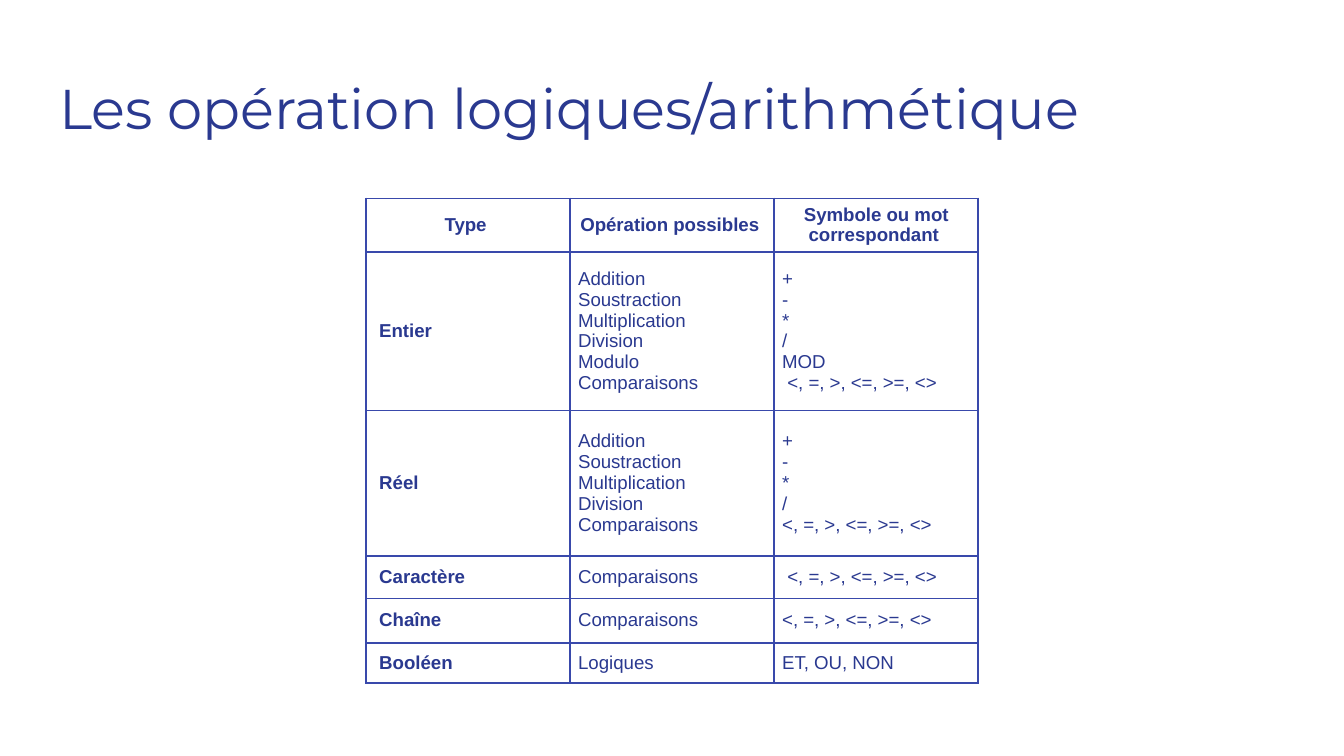
from lxml.etree import SubElement
from pptx import Presentation
from pptx.dml.color import RGBColor
from pptx.enum.text import MSO_ANCHOR, PP_ALIGN
from pptx.oxml.ns import qn
from pptx.util import Cm, Pt

NAVY = RGBColor(0x2A, 0x39, 0x90)
INDIGO = RGBColor(0x39, 0x49, 0xAB)
WHITE = RGBColor(0xFF, 0xFF, 0xFF)

HEADS = ["Type ", "Opération possibles ", "Symbole ou mot correspondant "]
MATHS = ["Addition", "Soustraction", "Multiplication", "Division"]
SIGNS = ["+", "-", "*", "/"]
ORDER = "<, =, >, <=, >=, <>"
ROWS = [
    (0.94, [[head] for head in HEADS]),
    (3, [[" Entier"], MATHS + ["Modulo ", "Comparaisons"], SIGNS + ["MOD ", " " + ORDER]]),
    (2.75, [[" Réel"], MATHS + ["Comparaisons"], SIGNS + [ORDER]]),
    (0.8, [[" Caractère"], ["Comparaisons"], [" " + ORDER]]),
    (0.84, [[" Chaîne"], ["Comparaisons"], [ORDER + " "]]),
    (0.76, [[" Booléen"], ["Logiques"], ["ET, OU, NON"]]),
]


def set_font(para, name, size, bold=False):
    font = para.font
    font.name, font.size, font.bold = name, Pt(size), bold
    font.color.rgb = NAVY


def add_title(slide, box, text):
    frame = slide.shapes.add_textbox(*box).text_frame
    frame.word_wrap = True
    frame.margin_left = frame.margin_right = Cm(0.25)
    frame.margin_top = frame.margin_bottom = Cm(0.25)
    frame.text = text
    set_font(frame.paragraphs[0], "Montserrat", 30)


def add_edges(cell):
    props = cell._tc.get_or_add_tcPr()
    for side in ("lnL", "lnR", "lnT", "lnB"):
        line = SubElement(props, qn("a:" + side), w=str(Pt(1)))
        fill = SubElement(line, qn("a:solidFill"))
        SubElement(fill, qn("a:srgbClr"), val=str(INDIGO))


def fill_cell(cell, lines, head, bold):
    add_edges(cell)
    cell.fill.background()
    cell.vertical_anchor = MSO_ANCHOR.MIDDLE
    cell.margin_left = cell.margin_right = Cm(0.15)
    cell.margin_top = cell.margin_bottom = Cm(0.08)
    cell.text = "\v".join(lines)
    para = cell.text_frame.paragraphs[0]
    para.alignment = PP_ALIGN.CENTER if head else PP_ALIGN.LEFT
    set_font(para, "Arial", 10, bold)


def add_grid(slide, box, rows):
    table = slide.shapes.add_table(len(rows), len(HEADS), *box).table
    table.first_row = table.horz_banding = False
    for col in table.columns:
        col.width = box[2] // len(HEADS)
    for r, (high, cells) in enumerate(rows):
        table.rows[r].height = Cm(high)
        for c, lines in enumerate(cells):
            fill_cell(table.cell(r, c), lines, r == 0, r == 0 or c == 0)


def main():
    deck = Presentation()
    deck.slide_width, deck.slide_height = Cm(25.4), Cm(14.29)
    slide = deck.slides.add_slide(deck.slide_layouts[6])
    slide.background.fill.solid()
    slide.background.fill.fore_color.rgb = WHITE
    add_title(slide, (Cm(0.87), Cm(1.14), Cm(23.67), Cm(1.68)),
              "Les opération logiques/arithmétique")
    high = sum(row[0] for row in ROWS)
    add_grid(slide, (Cm(6.92), Cm(3.75), Cm(11.57), Cm(high)), ROWS)
    deck.save("out.pptx")


if __name__ == "__main__":
    main()
